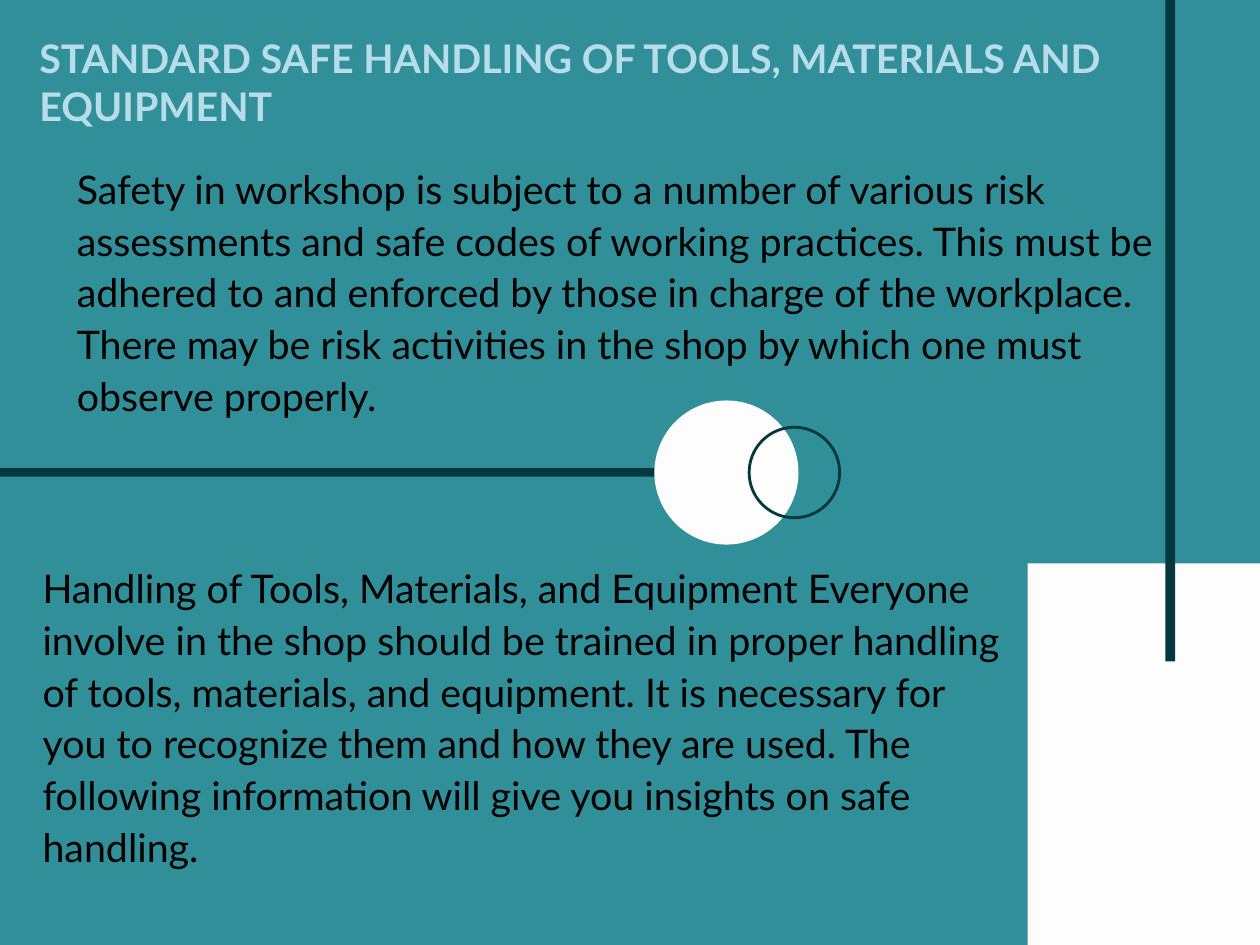
from dataclasses import dataclass

from pptx import Presentation, util as u
from pptx.dml.color import RGBColor
from pptx.enum import shapes, text


@dataclass(frozen=True)
class Theme:
    background: str = "318F9A"
    dark: str = "04383F"
    light: str = "FDFDFD"
    heading: str = "B7DEE8"
    body: str = "000000"
    font: str = "Lato"
    size: float = 24
    heading_spacing: float = 29.4
    body_spacing: float = 31.5


@dataclass(frozen=True)
class Area:
    column: float
    row: float
    columns: float
    rows: float


@dataclass(frozen=True)
class Ornament:
    kind: shapes.MSO_SHAPE
    area: Area
    color: str


THEME = Theme()
WIDTH, HEIGHT = u.Inches(10.67), u.Inches(8)
COLUMN, ROW = WIDTH / 32, HEIGHT / 24
RING_THICKNESS = 0.03
MIDDLE_ROW = 12

HEADING = "STANDARD SAFE HANDLING OF TOOLS, MATERIALS AND EQUIPMENT"
HEADING_AREA = Area(1, 0.84, 28, 2.4)

PASSAGES = [
    (
        Area(1.95, 4.08, 27.33, 6.66),
        "Safety in workshop is subject to a number of various risk assessments "
        "and safe codes of working practices. This must be adhered to and "
        "enforced by those in charge of the workplace. There may be risk "
        "activities in the shop by which one must observe properly.",
    ),
    (
        Area(1.08, 14.22, 24.48, 6.6),
        "Handling of Tools, Materials, and Equipment Everyone involve in the "
        "shop should be trained in proper handling of tools, materials, and "
        "equipment. It is necessary for you to recognize them and how they are "
        "used. The following information will give you insights on safe handling.",
    ),
]


def centered(column: float, columns: float, rows: float) -> Area:
    return Area(column, MIDDLE_ROW - rows / 2, columns, rows)


CORNER_ORNAMENTS = [
    Ornament(shapes.MSO_SHAPE.RECTANGLE, Area(26.1, 14.31, 6.33, 10.17), THEME.light),
    Ornament(shapes.MSO_SHAPE.RECTANGLE, Area(29.6, -0.3, 0.25, 17.1), THEME.dark),
]
DIVIDER_ORNAMENTS = [
    Ornament(shapes.MSO_SHAPE.RECTANGLE, centered(-1.23, 19, 0.22), THEME.dark),
    Ornament(shapes.MSO_SHAPE.OVAL, centered(16.62, 3.66, 3.66), THEME.light),
    Ornament(shapes.MSO_SHAPE.DONUT, centered(18.99, 2.37, 2.37), THEME.dark),
]


def bounds(area: Area) -> tuple[int, int, int, int]:
    return (
        round(area.column * COLUMN),
        round(area.row * ROW),
        round(area.columns * COLUMN),
        round(area.rows * ROW),
    )


def draw_ornament(slide, ornament: Ornament) -> None:
    shape = slide.shapes.add_shape(ornament.kind, *bounds(ornament.area))
    shape.shadow.inherit = False
    shape.fill.solid()
    shape.fill.fore_color.rgb = RGBColor.from_string(ornament.color)
    shape.line.fill.background()
    if ornament.kind == shapes.MSO_SHAPE.DONUT:
        shape.adjustments[0] = RING_THICKNESS


def write(shape, wording: str, color: str, spacing: float, bold: bool = False) -> None:
    frame = shape.text_frame
    frame.word_wrap = True
    frame.auto_size = text.MSO_AUTO_SIZE.NONE
    frame.vertical_anchor = text.MSO_ANCHOR.TOP
    frame.margin_left = frame.margin_top = frame.margin_right = frame.margin_bottom = 0
    paragraph = frame.paragraphs[0]
    paragraph.alignment = text.PP_ALIGN.LEFT
    paragraph.line_spacing = u.Pt(spacing)
    run = paragraph.add_run()
    run.text = wording
    run.font.name = THEME.font
    run.font.size = u.Pt(THEME.size)
    run.font.bold = bold
    run.font.color.rgb = RGBColor.from_string(color)


def draw_heading(slide) -> None:
    title = slide.shapes.title
    title.left, title.top, title.width, title.height = bounds(HEADING_AREA)
    write(title, HEADING, THEME.heading, THEME.heading_spacing, bold=True)


def main() -> None:
    presentation = Presentation()
    presentation.slide_width, presentation.slide_height = WIDTH, HEIGHT
    slide = presentation.slides.add_slide(presentation.slide_layouts.get_by_name("Title Only"))
    slide.background.fill.solid()
    slide.background.fill.fore_color.rgb = RGBColor.from_string(THEME.background)

    draw_heading(slide)
    for ornament in CORNER_ORNAMENTS:
        draw_ornament(slide, ornament)
    for area, wording in PASSAGES:
        write(slide.shapes.add_textbox(*bounds(area)), wording, THEME.body, THEME.body_spacing)
    for ornament in DIVIDER_ORNAMENTS:
        draw_ornament(slide, ornament)

    presentation.save("out.pptx")


if __name__ == "__main__":
    main()
